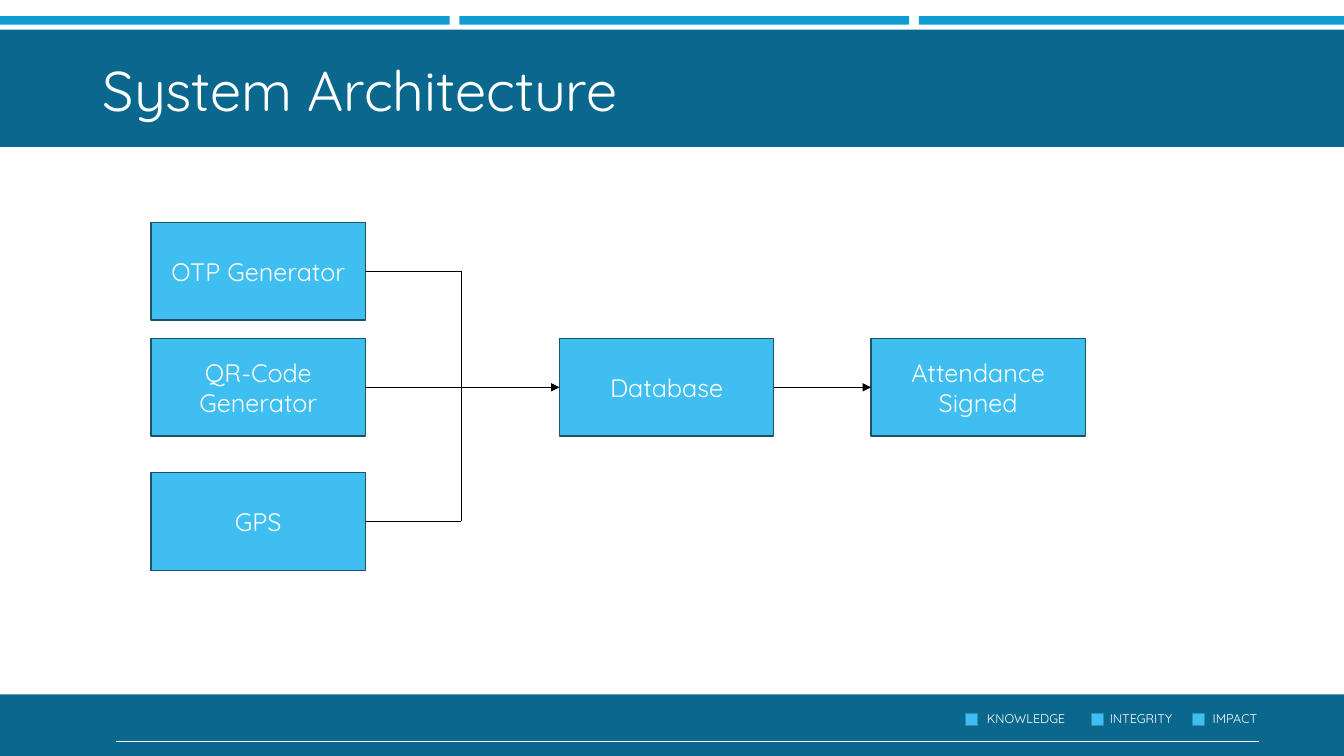
from lxml import etree
from pptx import Presentation
from pptx.dml.color import RGBColor
from pptx.enum.shapes import MSO_CONNECTOR as Connector, MSO_SHAPE as Shape
from pptx.enum.text import MSO_ANCHOR as Anchor, PP_ALIGN as Align
from pptx.oxml.ns import qn
from pptx.util import Cm, Pt

# Content
TITLE = "System Architecture"
GENERATORS = [("OTP Generator", 5.61), ("QR-Code Generator", 8.53), ("GPS", 11.91)]
STAGES = [("Database", 14.1), ("Attendance Signed", 21.95)]
# Footer value, left of its marker, left of its word
VALUES = [("KNOWLEDGE", 24.33, 24.87), ("INTEGRITY", 27.51, 27.97), ("IMPACT", 30.05, 30.56)]

THEME = {
    "font": "Quicksand",
    "band": "0A688E", "bar": "0F9CD5", "box": "3FBEF1",
    "box_line": "1C536A", "marker_line": "2F8DB2",
    "text": "FFFFFF", "arrow": "000000",
    "title_size": 40, "box_size": 18, "footer_size": 9,
    "outline": 1, "thin": 0.5,
}

# Layout in centimetres
SLIDE_WIDTH, SLIDE_HEIGHT = 33.87, 19.05
BOX_WIDTH, BOX_HEIGHT = 5.4, 2.46
GENERATOR_LEFT, STAGE_TOP = 3.81, 8.53
JUNCTION_X = 11.63
BAR_WIDTH, BAR_STEP, BAR_COUNT = 11.33, 11.58, 3
FOOTER_TOP, MARKER_SIZE = 17.5, 0.3


def color(name):
    return RGBColor.from_string(THEME[name])


def add_run(paragraph, text, size):
    run = paragraph.add_run()
    run.text = text
    run.font.name = THEME["font"]
    run.font.size = Pt(THEME[size])
    run.font.color.rgb = color("text")


def add_rectangle(slide, left, top, width, height, fill, line=None):
    shape = slide.shapes.add_shape(
        Shape.RECTANGLE, Cm(left), Cm(top), Cm(width), Cm(height))
    shape.shadow.inherit = False
    shape.fill.solid()
    shape.fill.fore_color.rgb = color(fill)
    if line:
        shape.line.color.rgb = color(line)
        shape.line.width = Pt(THEME["outline"])
    else:
        shape.line.fill.background()
    return shape


def add_box(slide, text, left, top):
    shape = add_rectangle(slide, left, top, BOX_WIDTH, BOX_HEIGHT, "box", "box_line")
    frame = shape.text_frame
    frame.word_wrap = True
    frame.vertical_anchor = Anchor.MIDDLE
    paragraph = frame.paragraphs[0]
    paragraph.alignment = Align.CENTER
    add_run(paragraph, text, "box_size")
    return shape


def add_line(slide, start, end, line="arrow", source=None, target=None, arrow=False):
    connector = slide.shapes.add_connector(
        Connector.STRAIGHT, *(Cm(value) for value in start + end))
    if source is not None:
        connector.begin_connect(source, 3)
    if target is not None:
        connector.end_connect(target, 1)
    connector.line.color.rgb = color(line)
    connector.line.width = Pt(THEME["thin"])
    if arrow:
        outline = connector.line._get_or_add_ln()
        etree.SubElement(outline, qn("a:tailEnd"), type="triangle")
    etree.SubElement(connector._element.spPr, qn("a:effectLst"))


def add_header(slide):
    for index in range(BAR_COUNT):
        left = index * BAR_STEP
        width = min(BAR_WIDTH, SLIDE_WIDTH - left)
        add_rectangle(slide, left, 0.41, width, 0.21, "bar")
    add_rectangle(slide, 0, 0.75, SLIDE_WIDTH, 2.95, "band")
    frame = slide.shapes.add_textbox(Cm(2.34), Cm(1.12), Cm(29.21), Cm(2.11)).text_frame
    frame.word_wrap = True
    frame.vertical_anchor = Anchor.BOTTOM
    paragraph = frame.paragraphs[0]
    paragraph.line_spacing = 0.9
    add_run(paragraph, TITLE, "title_size")


def add_footer(slide):
    add_rectangle(slide, 0, FOOTER_TOP, SLIDE_WIDTH, SLIDE_HEIGHT - FOOTER_TOP, "band")
    add_line(slide, (2.92, 18.68), (31.73, 18.68), "text")
    # One line of words, aligned by tab stops
    text_left = VALUES[0][2]
    frame = slide.shapes.add_textbox(Cm(text_left), Cm(17.8), Cm(7.3), Cm(0.64)).text_frame
    frame.word_wrap = True
    frame.margin_left = frame.margin_right = 0
    paragraph = frame.paragraphs[0]
    tabs = etree.SubElement(paragraph._p.get_or_add_pPr(), qn("a:tabLst"))
    for _, _, word_left in VALUES[1:]:
        etree.SubElement(tabs, qn("a:tab"), pos=str(Cm(word_left - text_left)), algn="l")
    add_run(paragraph, "\t".join(word for word, _, _ in VALUES), "footer_size")
    for _, marker_left, _ in VALUES:
        add_rectangle(slide, marker_left, 17.98, MARKER_SIZE, MARKER_SIZE,
                      "box", "marker_line")


def add_diagram(slide):
    generators = [add_box(slide, text, GENERATOR_LEFT, top) for text, top in GENERATORS]
    database, attendance = [add_box(slide, text, left, STAGE_TOP) for text, left in STAGES]
    middles = [top + BOX_HEIGHT / 2 for _, top in GENERATORS]
    stage_middle = STAGE_TOP + BOX_HEIGHT / 2

    # Generators meet at one vertical line
    for generator, middle in zip(generators, middles):
        add_line(slide, (GENERATOR_LEFT + BOX_WIDTH, middle), (JUNCTION_X, middle),
                 source=generator)
    add_line(slide, (JUNCTION_X, middles[0]), (JUNCTION_X, middles[-1]))

    # Arrows through the stages
    database_left, attendance_left = [left for _, left in STAGES]
    add_line(slide, (JUNCTION_X, stage_middle), (database_left, stage_middle),
             target=database, arrow=True)
    add_line(slide, (database_left + BOX_WIDTH, stage_middle),
             (attendance_left, stage_middle),
             source=database, target=attendance, arrow=True)


def main():
    presentation = Presentation()
    presentation.slide_width = Cm(SLIDE_WIDTH)
    presentation.slide_height = Cm(SLIDE_HEIGHT)
    slide = presentation.slides.add_slide(presentation.slide_layouts[6])
    add_footer(slide)
    add_header(slide)
    add_diagram(slide)
    presentation.save("out.pptx")


if __name__ == "__main__":
    main()
